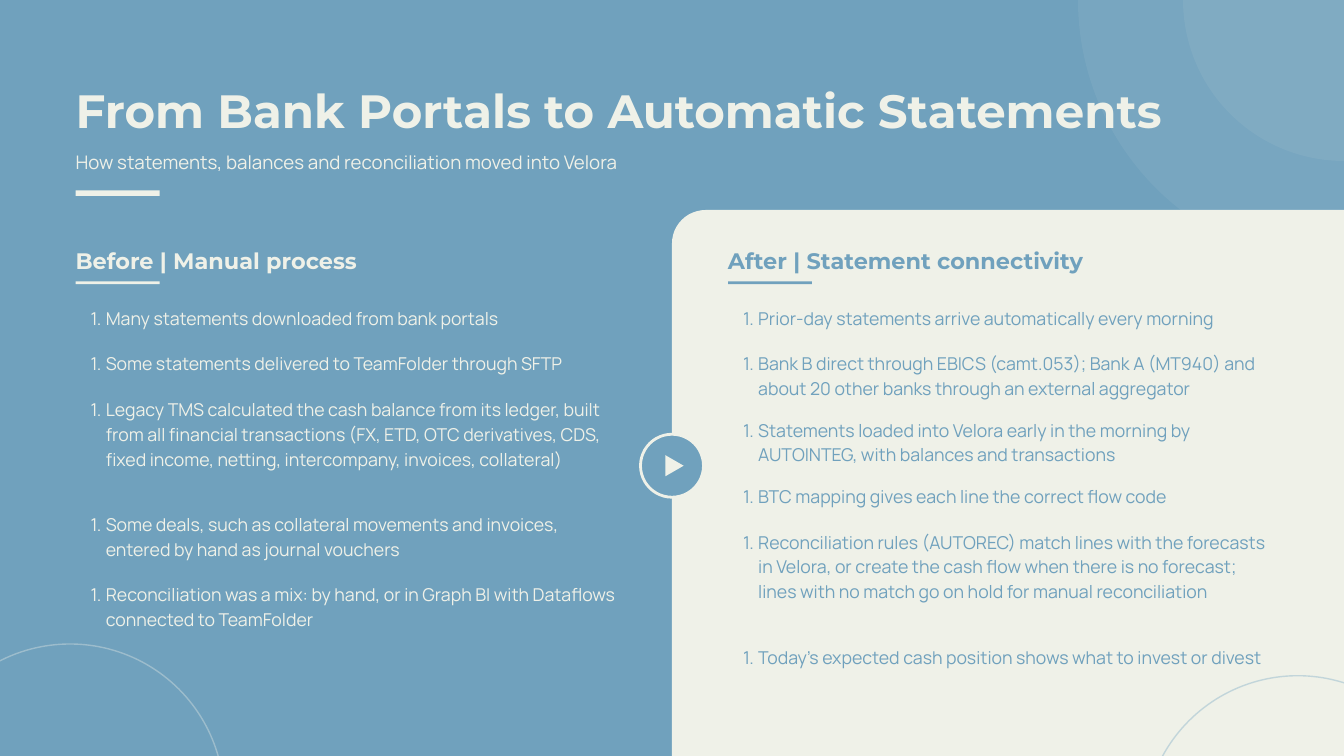
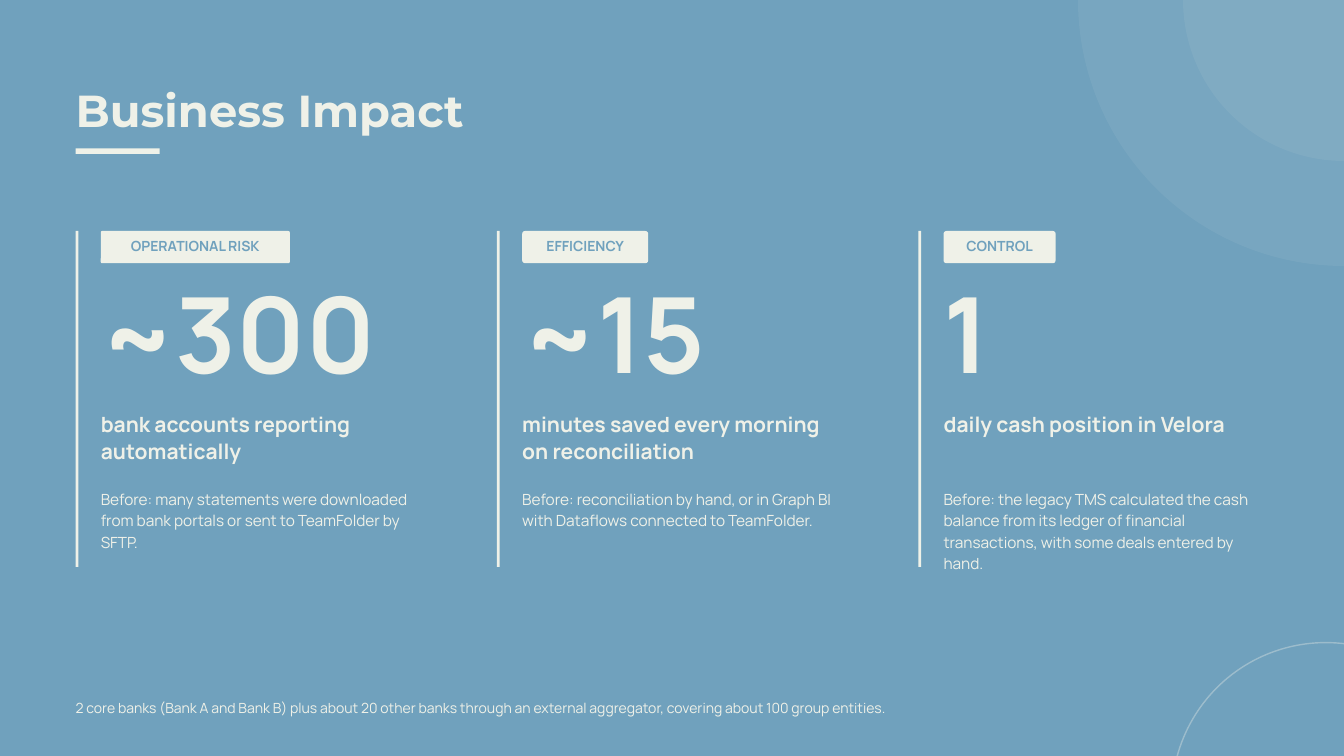
from pptx import Presentation
from pptx.dml.color import RGBColor
from pptx.enum.shapes import MSO_SHAPE as Preset
from pptx.enum.text import MSO_AUTO_SIZE as AutoSize, PP_ALIGN as Align
from pptx.oxml.ns import qn
from pptx.util import Pt
from lxml.etree import SubElement

# Content: each bullet is (top, lines in its box, text)
COMPARISON = {
    "title": "From Bank Portals to Automatic Statements",
    "subtitle": "How statements, balances and reconciliation moved into Velora",
    "before": ("Before | Manual process", [
        (325.5, 1, "Many statements downloaded from bank portals"),
        (374.5, 1, "Some statements delivered to TeamFolder through SFTP"),
        (423.5, 4, "Legacy TMS calculated the cash balance from its ledger, built "
                   "from all financial transactions (FX, ETD, OTC derivatives, CDS, "
                   "fixed income, netting, intercompany, invoices, collateral)"),
        (546.5, 2, "Some deals, such as collateral movements and invoices, "
                   "entered by hand as journal vouchers"),
        (622, 2, "Reconciliation was a mix: by hand, or in Graph BI with Dataflows "
                 "connected to TeamFolder"),
    ]),
    "after": ("After | Statement connectivity", [
        (325.5, 1, "Prior-day statements arrive automatically every morning"),
        (374.5, 2, "Bank B direct through EBICS (camt.053); Bank A (MT940) and "
                   "about 20 other banks through an external aggregator"),
        (445.5, 2, "Statements loaded into Velora early in the morning by "
                   "AUTOINTEG, with balances and transactions"),
        (517, 1, "BTC mapping gives each line the correct flow code"),
        (565.5, 4, "Reconciliation rules (AUTOREC) match lines with the forecasts "
                   "in Velora, or create the cash flow when there is no forecast; "
                   "lines with no match go on hold for manual reconciliation"),
        (689, 2, "Today's expected cash position shows what to invest or divest"),
    ]),
}
IMPACT = {
    "title": "Business Impact",
    # label, label width, corner radius, figure, meaning, lines, past, lines
    "columns": [
        ("OPERATIONAL RISK", 202.5, 1.5, "~300",
         "bank accounts reporting automatically", 2,
         "Before: many statements were downloaded from bank portals or sent "
         "to TeamFolder by SFTP.", 3),
        ("EFFICIENCY", 135, 3, "~15",
         "minutes saved every morning on reconciliation", 2,
         "Before: reconciliation by hand, or in Graph BI with Dataflows "
         "connected to TeamFolder.", 3),
        ("CONTROL", 120, 3, "1",
         "daily cash position in Velora", 1,
         "Before: the legacy TMS calculated the cash balance from its ledger of "
         "financial transactions, with some deals entered by hand.", 4),
    ],
    "footnote": "2 core banks (Bank A and Bank B) plus about 20 other banks through "
                "an external aggregator, covering about 100 group entities.",
}

# Shared look
COLORS = {"blue": "70A1BD", "cream": "EFF1E8", "ring": "6FA3C2"}
WIDTH, HEIGHT = 1440, 810
MARGIN = 81
RIGHT_X = 780
HALF_WIDTH = 585
UNDERLINE = 90


def style(name, size, spacing, bold=False):
    return {"font": {"name": name, "size": Pt(size), "bold": bold}, "spacing": spacing}


STYLES = {
    "title": style("Montserrat", 50, 55, True),
    "short title": style("Montserrat", 48, 52.8, True),
    "subtitle": style("Manrope", 20, 28),
    "heading": style("Montserrat", 24, 33.6, True),
    "bullet": style("Manrope", 19, 26.6),
    "label": style("Manrope", 15, 19.5, True),
    "figure": style("Manrope", 112.5, 135, True),
    "meaning": style("Manrope", 22.5, 29.2, True),
    "past": style("Manrope", 16.5, 23.1),
    "footnote": style("Manrope", 15, 21),
}


def rgb(color):
    return RGBColor.from_string(COLORS[color])


def paint(shape, fill, line=None, weight=0, alpha=None):
    shape.shadow.inherit = False
    shape.fill.solid()
    shape.fill.fore_color.rgb = rgb(fill)
    if line:
        shape.line.color.rgb = rgb(line)
        shape.line.width = Pt(weight)
    else:
        shape.line.fill.background()
    if alpha:
        for color in list(shape._element.spPr.iter(qn("a:srgbClr"))):
            SubElement(color, qn("a:alpha")).set("val", str(alpha * 1000))


def add_block(page, preset, left, top, width, height, fill="cream", **look):
    shape = page.shapes.add_shape(preset, Pt(left), Pt(top), Pt(width), Pt(height))
    paint(shape, fill, **look)
    return shape


def add_bar(page, left, top, width, height, fill="cream"):
    add_block(page, Preset.RECTANGLE, left, top, width, height, fill)


def add_circle(page, x, y, radius, fill="cream", **look):
    add_block(page, Preset.OVAL, x - radius, y - radius, 2 * radius, 2 * radius,
              fill, **look)


def add_text(page, words, kind, left, top, width, color="cream", lines=1, align=None):
    look = STYLES[kind]
    box = page.shapes.add_textbox(Pt(left), Pt(top), Pt(width),
                                  Pt(lines * look["spacing"]))
    frame = box.text_frame
    frame_values = {"word_wrap": True, "auto_size": AutoSize.SHAPE_TO_FIT_TEXT,
                    "margin_left": 0, "margin_right": 0,
                    "margin_top": 0, "margin_bottom": 0}
    for name, value in frame_values.items():
        setattr(frame, name, value)
    para = frame.paragraphs[0]
    para.alignment = align
    para.line_spacing = Pt(look["spacing"])
    if kind == "bullet":
        para.level = 1
        props = para._p.get_or_add_pPr()
        props.set("marL", str(Pt(32.4)))
        props.set("indent", str(-Pt(16.2)))
        SubElement(props, qn("a:buAutoNum")).set("type", "arabicPeriod")
    span = para.add_run()
    span.text = words
    for name, value in look["font"].items():
        setattr(span.font, name, value)
    span.font.color.rgb = rgb(color)


def add_page(deck):
    page = deck.slides.add_slide(deck.slide_layouts[6])
    page.background.fill.solid()
    page.background.fill.fore_color.rgb = rgb("blue")
    for radius in (285, 172.5):
        add_circle(page, WIDTH, 0, radius, alpha=7)
    return page


def add_ring(page, x, y, fill="blue", line="cream"):
    add_circle(page, x, y, 165, fill, line=line, weight=1.5, alpha=35)


def add_side(page, side, left, color):
    heading, bullets = side
    add_text(page, heading, "heading", left, 259.5, HALF_WIDTH, color)
    add_bar(page, left, 301.5, UNDERLINE, 3, color)
    for top, lines, words in bullets:
        add_text(page, words, "bullet", left, top, HALF_WIDTH, color, lines)


def build_comparison(deck):
    page = add_page(deck)
    add_ring(page, 75, 855)
    add_text(page, COMPARISON["title"], "title", MARGIN, 93, 1326)
    add_text(page, COMPARISON["subtitle"], "subtitle", MARGIN, 157.5, 913)
    add_bar(page, MARGIN, 204, UNDERLINE, 6)

    # Panel with a round top left corner
    middle, panel_top = WIDTH / 2, 225
    panel_height = HEIGHT - panel_top
    panel = add_block(page, Preset.ROUND_1_RECTANGLE,
                      middle, panel_top, middle, panel_height)
    panel.adjustments[0] = 36 / panel_height
    panel._element.spPr.xfrm.set("flipH", "1")
    add_ring(page, 1390.5, 889, "cream", "ring")

    add_side(page, COMPARISON["before"], MARGIN, "cream")
    add_side(page, COMPARISON["after"], RIGHT_X, "blue")

    # Play sign between the halves
    center_y = 499
    add_circle(page, middle, center_y, 33.75, "blue", line="cream", weight=3)
    outline = page.shapes.build_freeform(Pt(713), Pt(center_y - 11.25))
    outline.add_line_segments([(Pt(732.5), Pt(center_y)),
                               (Pt(713), Pt(center_y + 11.25))])
    paint(outline.convert_to_shape(), "cream")


def build_impact(deck):
    page = add_page(deck)
    add_ring(page, 1420.5, 853.5)
    add_text(page, IMPACT["title"], "short title", MARGIN, 93, 1275)
    add_bar(page, MARGIN, 159, UNDERLINE, 6)

    # Columns at an equal pitch
    pitch, inset, column_width = 451.5, 27, 345
    top, label_height = 247.5, 34.5
    for index, column in enumerate(IMPACT["columns"]):
        label, label_width, radius, figure, meaning, meaning_lines, past, past_lines = column
        rule = MARGIN + index * pitch
        left = rule + inset
        add_bar(page, rule, top, 3, 360)
        badge = add_block(page, Preset.ROUNDED_RECTANGLE, left, top,
                          label_width, label_height)
        badge.adjustments[0] = radius / label_height
        add_text(page, label, "label", left, 253.5, label_width, "blue",
                 align=Align.CENTER)
        add_text(page, figure, "figure", left, 288, column_width)
        add_text(page, meaning, "meaning", left, 438.5, column_width,
                 lines=meaning_lines)
        add_text(page, past, "past", left, 521.5, column_width, lines=past_lines)

    add_text(page, IMPACT["footnote"], "footnote", MARGIN, 746, 1275)


def main():
    deck = Presentation()
    deck.slide_width, deck.slide_height = Pt(WIDTH), Pt(HEIGHT)
    build_comparison(deck)
    build_impact(deck)
    deck.save("out.pptx")


if __name__ == "__main__":
    main()
